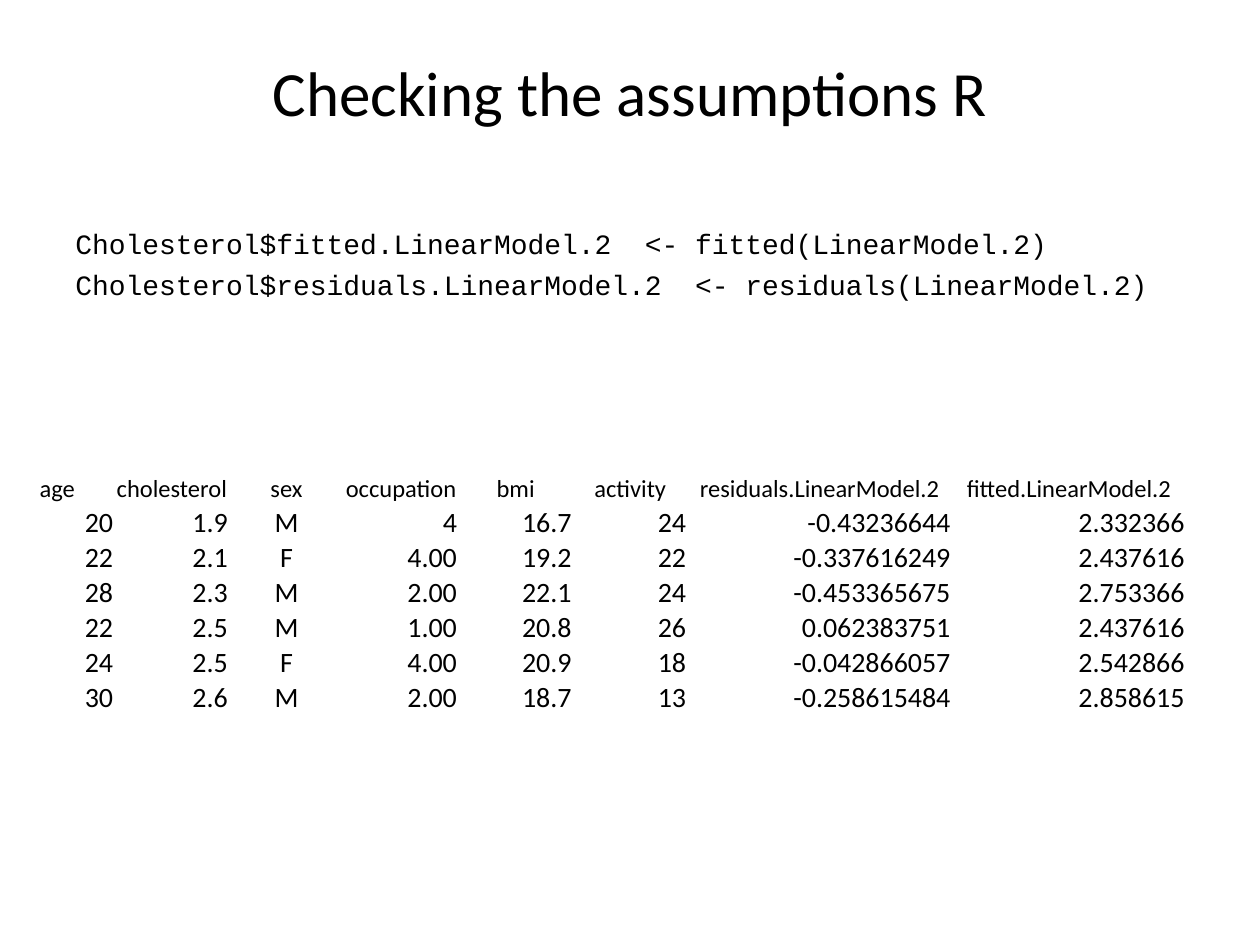
import pptx
import pptx.util
import pptx.dml.color
import pptx.enum.text

Cm, Pt = pptx.util.Cm, pptx.util.Pt
ALIGN = pptx.enum.text.PP_ALIGN
ANCHOR = pptx.enum.text.MSO_ANCHOR

TITLE = "Checking the assumptions R"
CODE = [
    "Cholesterol$fitted.LinearModel.2  <- fitted(LinearModel.2)",
    "Cholesterol$residuals.LinearModel.2  <- residuals(LinearModel.2)",
]
COLUMN_WIDTHS = [2.31] * 6 + [5.33, 4.72]
SEX_COLUMN = 2
ROWS = [
    ["age", "cholesterol", "sex", "occupation", "bmi", "activity",
     "residuals.LinearModel.2", "fitted.LinearModel.2"],
    ["20", "1.9", "M", "4", "16.7", "24", "-0.43236644", "2.332366"],
    ["22", "2.1", "F", "4.00", "19.2", "22", "-0.337616249", "2.437616"],
    ["28", "2.3", "M", "2.00", "22.1", "24", "-0.453365675", "2.753366"],
    ["22", "2.5", "M", "1.00", "20.8", "26", "0.062383751", "2.437616"],
    ["24", "2.5", "F", "4.00", "20.9", "18", "-0.042866057", "2.542866"],
    ["30", "2.6", "M", "2.00", "18.7", "13", "-0.258615484", "2.858615"],
]


def rgb(value):
    """Return the colour for a hex string."""
    return pptx.dml.color.RGBColor.from_string(value)


def write(p, text, size=16, font="Calibri", color="000000",
          align=ALIGN.LEFT, before=0):
    """Add formatted text to a paragraph."""
    p.alignment = align
    p.space_before = Pt(before)
    r = p.add_run()
    r.text = text
    r.font.size = Pt(size)
    r.font.name = font
    r.font.bold = False
    r.font.color.rgb = rgb(color)


def add_title(s, left, top, width, height):
    """Place the title, raised a little above the middle of its box."""
    sp = s.shapes.title
    sp.left, sp.top, sp.width, sp.height = map(Cm, (left, top, width, height))
    tf = sp.text_frame
    tf.vertical_anchor = ANCHOR.MIDDLE
    tf.margin_bottom = Cm(1.14)
    write(tf.paragraphs[0], TITLE, size=36, align=ALIGN.CENTER)


def add_code(s, left, top, width, height):
    """Place the code lines, one paragraph each."""
    sp = s.shapes.add_textbox(*map(Cm, (left, top, width, height)))
    tf = sp.text_frame
    tf.word_wrap = True
    for i, line in enumerate(CODE):
        p = tf.add_paragraph() if i else tf.paragraphs[0]
        write(p, line, font="Courier New", before=4)


def add_data(s, left, top, width, height):
    """Place the data table with a slightly lower header row."""
    header_height = 0.63
    row_height = (height - header_height) / (len(ROWS) - 1)
    frame = s.shapes.add_table(len(ROWS), len(COLUMN_WIDTHS),
                               *map(Cm, (left, top, width, height)))
    table = frame.table
    table.first_row = table.horz_banding = False
    for column, column_width in zip(table.columns, COLUMN_WIDTHS):
        column.width = Cm(column_width)
    for i, row in enumerate(ROWS):
        table.rows[i].height = Cm(row_height if i else header_height)
        for j, text in enumerate(row):
            cell = table.cell(i, j)
            cell.fill.background()
            cell.vertical_anchor = ANCHOR.BOTTOM
            cell.margin_left = cell.margin_right = cell.margin_top = Cm(0.03)
            cell.margin_bottom = 0
            centred = i == 0 or j == SEX_COLUMN
            write(cell.text_frame.paragraphs[0], text,
                  size=16 if i else 14,
                  align=ALIGN.CENTER if centred else ALIGN.RIGHT)


prs = pptx.Presentation()
prs.slide_width, prs.slide_height = Cm(25.4), Cm(19.05)
s = prs.slides.add_slide(prs.slide_layouts[5])
add_title(s, 1.27, 0.76, 22.86, 3.18)
add_code(s, 1.27, 4.45, 22.86, 12.57)
add_data(s, 0, 9.53, sum(COLUMN_WIDTHS), 4.83)
prs.save("out.pptx")
